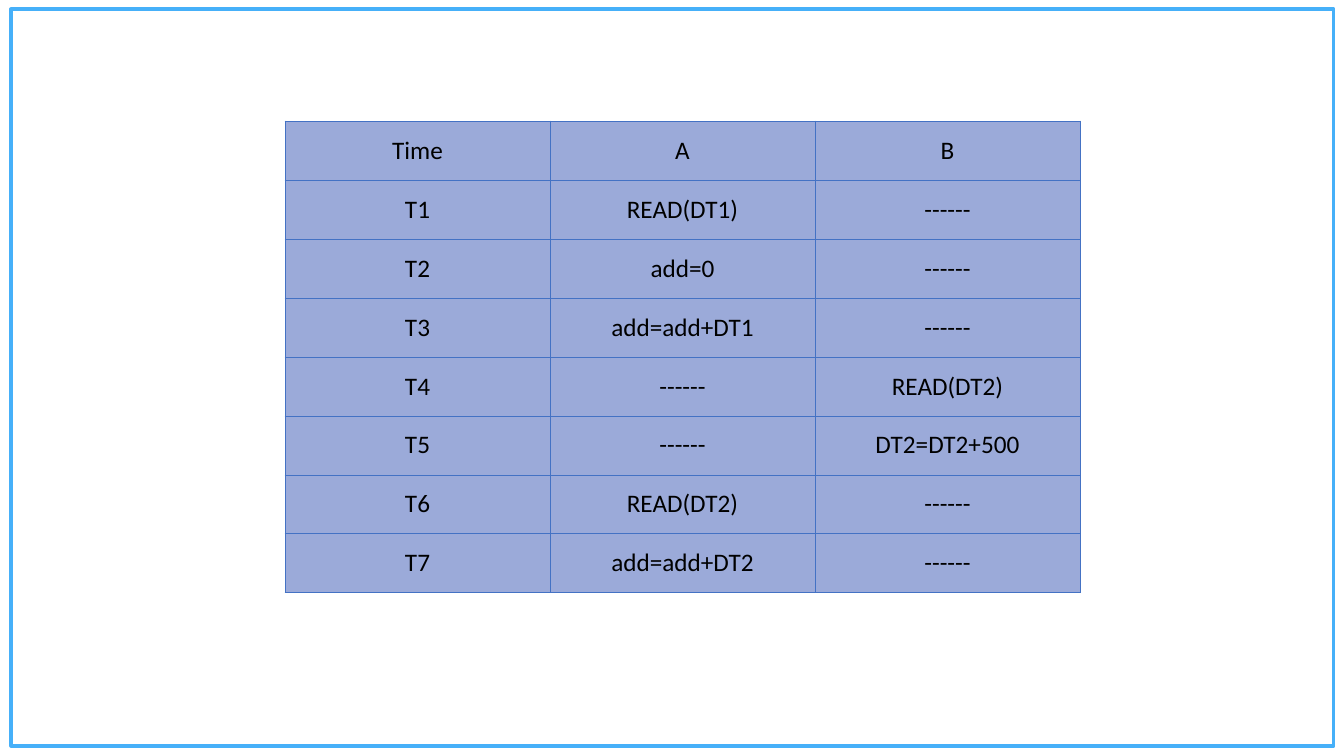
import dataclasses

import pptx
import pptx.dml.color
import pptx.enum.shapes
import pptx.enum.text
import pptx.oxml
import pptx.oxml.ns
import pptx.util

EMU_PER_PX = 9071.43

SCHEDULE = [
    ("Time", "A", "B"),
    ("T1", "READ(DT1)", "------"),
    ("T2", "add=0", "------"),
    ("T3", "add=add+DT1", "------"),
    ("T4", "------", "READ(DT2)"),
    ("T5", "------", "DT2=DT2+500"),
    ("T6", "READ(DT2)", "------"),
    ("T7", "add=add+DT2", "------"),
]


@dataclasses.dataclass(frozen=True)
class Theme:
    font: str = "Calibri"
    text: str = "000000"
    frame: str = "46B0F9"
    cell: str = "9BAAD9"
    grid: str = "4472C4"
    cell_size: int = 18
    frame_width: float = 2.25
    grid_width: float = 0.5


def px(length):
    return pptx.util.Emu(round(length * EMU_PER_PX))


def rgb(value):
    return pptx.dml.color.RGBColor.from_string(value)


class SlideBuilder:
    """Draws styled elements on one slide."""

    def __init__(self, slide, theme):
        self.slide = slide
        self.theme = theme

    def frame(self, left, top, width, height):
        border = self.slide.shapes.add_shape(
            pptx.enum.shapes.MSO_SHAPE.RECTANGLE,
            px(left), px(top), px(width), px(height))
        border.shadow.inherit = False
        border.fill.background()
        border.line.color.rgb = rgb(self.theme.frame)
        border.line.width = pptx.util.Pt(self.theme.frame_width)

    def table(self, rows, left, top, column_width, row_height):
        columns = len(rows[0])
        grid = self.slide.shapes.add_table(
            len(rows), columns, px(left), px(top),
            px(column_width * columns), px(row_height * len(rows))).table
        for column in grid.columns:
            column.width = px(column_width)
        for row, texts in zip(grid.rows, rows):
            row.height = px(row_height)
            for cell, text in zip(row.cells, texts):
                self.cell(cell, text)

    def cell(self, cell, text):
        cell.text = text
        cell.vertical_anchor = pptx.enum.text.MSO_ANCHOR.MIDDLE
        paragraph = cell.text_frame.paragraphs[0]
        paragraph.alignment = pptx.enum.text.PP_ALIGN.CENTER
        paragraph.font.name = self.theme.font
        paragraph.font.size = pptx.util.Pt(self.theme.cell_size)
        paragraph.font.bold = False
        paragraph.font.color.rgb = rgb(self.theme.text)
        self.cell_borders(cell)
        cell.fill.solid()
        cell.fill.fore_color.rgb = rgb(self.theme.cell)

    def cell_borders(self, cell):
        properties = cell._tc.get_or_add_tcPr()
        width = pptx.util.Pt(self.theme.grid_width)
        for side in ("lnL", "lnR", "lnT", "lnB"):
            properties.append(pptx.oxml.parse_xml(
                f'<a:{side} {pptx.oxml.ns.nsdecls("a")} w="{width}">'
                f'<a:solidFill><a:srgbClr val="{self.theme.grid}"/></a:solidFill>'
                f'</a:{side}>'))


def main():
    deck = pptx.Presentation()
    deck.slide_width = px(1344)
    deck.slide_height = px(756)
    slide = deck.slides.add_slide(deck.slide_layouts[6])
    builder = SlideBuilder(slide, Theme())
    builder.frame(11, 9, 1323, 737)
    builder.table(SCHEDULE, left=285, top=121, column_width=265, row_height=59)
    deck.save("out.pptx")


if __name__ == "__main__":
    main()
